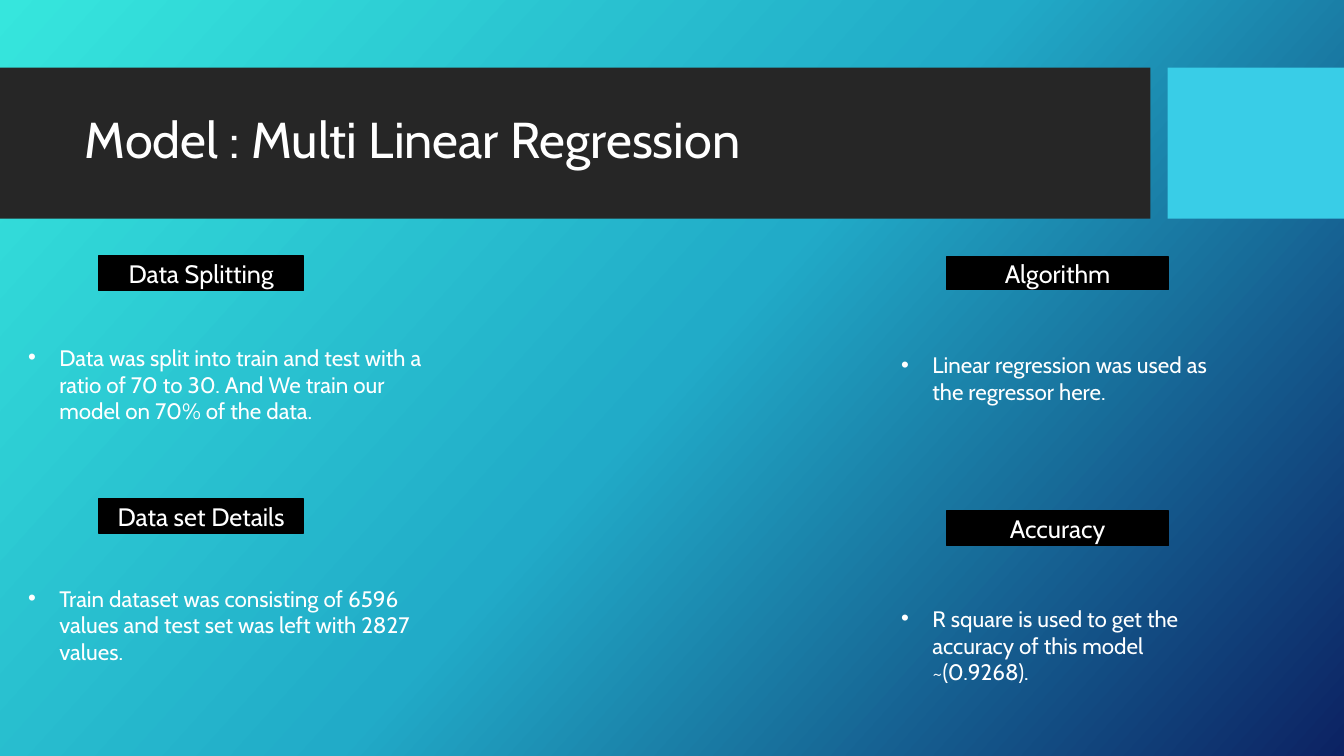
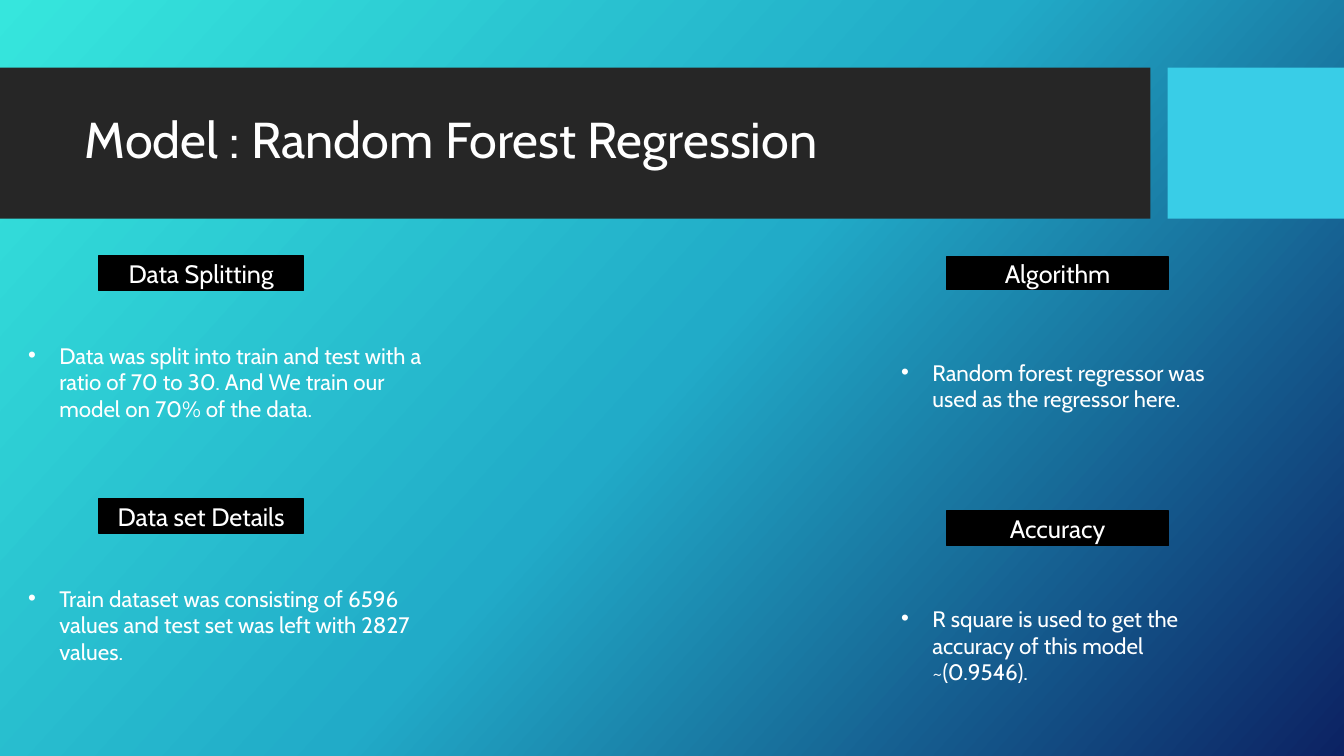
from copy import deepcopy
from dataclasses import dataclass

from pptx import Presentation
from pptx import util as u
from pptx.dml.color import RGBColor
from pptx.enum import shapes, text
from pptx.oxml.ns import qn
from lxml import etree

# Content: title, then (heading, body, body top, body height) in LABELS order
SPLIT = "Data was split into train and test with a ratio of 70 to 30. And We train our model on 70% of the data."
DETAILS = "Train dataset was consisting of 6596 values and test set was left with 2827 values."
ACCURACY = "R square is used to get the accuracy of this model ~({})."
SLIDES = [
    ("Model : Multi Linear Regression", [
        ("Data Splitting", SPLIT, 3.22, 1.18),
        ("Algorithm", "Linear regression was used as the regressor here.", 3.16, 1.18),
        ("Data set Details", DETAILS, 5.61, 1.18),
        ("Accuracy", ACCURACY.format("0.9268"), 5.81, 1.18),
    ]),
    ("Model : Random Forest Regression", [
        ("Data Splitting", SPLIT, 3.2, 1.18),
        ("Algorithm", "Random forest regressor was used as the regressor here.", 3.27, 1.11),
        ("Data set Details", DETAILS, 5.61, 1.18),
        ("Accuracy", ACCURACY.format("0.9546"), 5.81, 1.18),
    ]),
]

# Geometry in inches
COLUMNS = [  # label left, label width, body left, body width
    (0.98, 2.03, 0.18, 4.11),
    (9.39, 2.2, 8.84, 3.3),
]
LABELS = [(2.54, 0.34), (2.55, 0.32), (4.95, 0.34), (5.07, 0.34)]  # top, height
TITLE_BOX = (0.74, 0.82, 10.51, 1.18)
INDENT = 0.31


@dataclass(frozen=True)
class Theme:
    font: str = "Cabin"
    title: int = 36
    label: int = 18
    body: int = 16
    ink: str = "FFFFFF"
    label_fill: str = "000000"
    band: str = "262626"
    accent: str = "39CDE7"
    gradient: tuple = ((0, "36E6DD"), (0.5, "21ABC8"), (1, "0C2263"))
    angle: int = 42


T = Theme()


def rgb(value):
    return RGBColor.from_string(value)


def inches(*values):
    return [u.Inches(v) for v in values]


def write(sp, words, size, align):
    tf = sp.text_frame
    tf.text = words
    tf.word_wrap = True
    tf.auto_size = text.MSO_AUTO_SIZE.NONE
    tf.vertical_anchor = text.MSO_ANCHOR.MIDDLE
    p = tf.paragraphs[0]
    p.alignment = align
    p.font.name, p.font.size = T.font, u.Pt(size)
    p.font.color.rgb = rgb(T.ink)
    return p


def add_rect(s, box, fill):
    sp = s.shapes.add_shape(shapes.MSO_SHAPE.RECTANGLE, *inches(*box))
    sp.shadow.inherit = False
    sp.fill.solid()
    sp.fill.fore_color.rgb = rgb(fill)
    sp.line.fill.background()
    return sp


def add_label(s, box, words):
    sp = add_rect(s, box, T.label_fill)
    sp.line.color.rgb = rgb(T.label_fill)
    sp.line.width = u.Pt(1)
    write(sp, words, T.label, text.PP_ALIGN.CENTER)


def add_bullet(s, box, words):
    p = write(s.shapes.add_textbox(*inches(*box)), words, T.body, text.PP_ALIGN.LEFT)
    pPr = p._p.get_or_add_pPr()
    pPr.set("marL", str(u.Inches(INDENT)))
    pPr.set("indent", str(-u.Inches(INDENT)))
    bullet_font = etree.Element(qn("a:buFont"), typeface="Arial")
    bullet = etree.Element(qn("a:buChar"), char="•")
    # Bullet elements come before the paragraph's default run properties
    for i, el in enumerate((bullet_font, bullet)):
        pPr.insert(i, el)


def set_background(master):
    fill = master.background.fill
    fill.gradient()
    fill.gradient_angle = 360 - T.angle
    stops = fill.gradient_stops
    first = stops[0]._gs
    first.addnext(deepcopy(first))
    for stop, (position, color) in zip(fill.gradient_stops, T.gradient):
        stop.position = position
        stop.color.rgb = rgb(color)


def add_bands(s, layout):
    """Place the two header bands behind everything on the layout."""
    bands = [((0, 0.67, 11.41, 1.5), T.band), ((11.58, 0.67, 1.75, 1.5), T.accent)]
    for i, (box, fill) in enumerate(bands):
        layout.shapes.element.insert(2 + i, add_rect(s, box, fill)._element)


prs = Presentation()
prs.slide_width, prs.slide_height = inches(13.33, 7.5)
layout = prs.slide_layouts[5]
set_background(prs.slide_master)

for number, (title, topics) in enumerate(SLIDES):
    s = prs.slides.add_slide(layout)
    if number == 0:
        add_bands(s, layout)

    # Title
    sp = s.shapes.title
    sp.left, sp.top, sp.width, sp.height = inches(*TITLE_BOX)
    write(sp, title, T.title, text.PP_ALIGN.LEFT).line_spacing = 0.9

    # Topics, two columns by two rows
    for i, (heading, body, top, height) in enumerate(topics):
        label_left, label_width, body_left, body_width = COLUMNS[i % 2]
        label_top, label_height = LABELS[i]
        add_label(s, (label_left, label_top, label_width, label_height), heading)
        add_bullet(s, (body_left, top, body_width, height), body)

prs.save("out.pptx")
